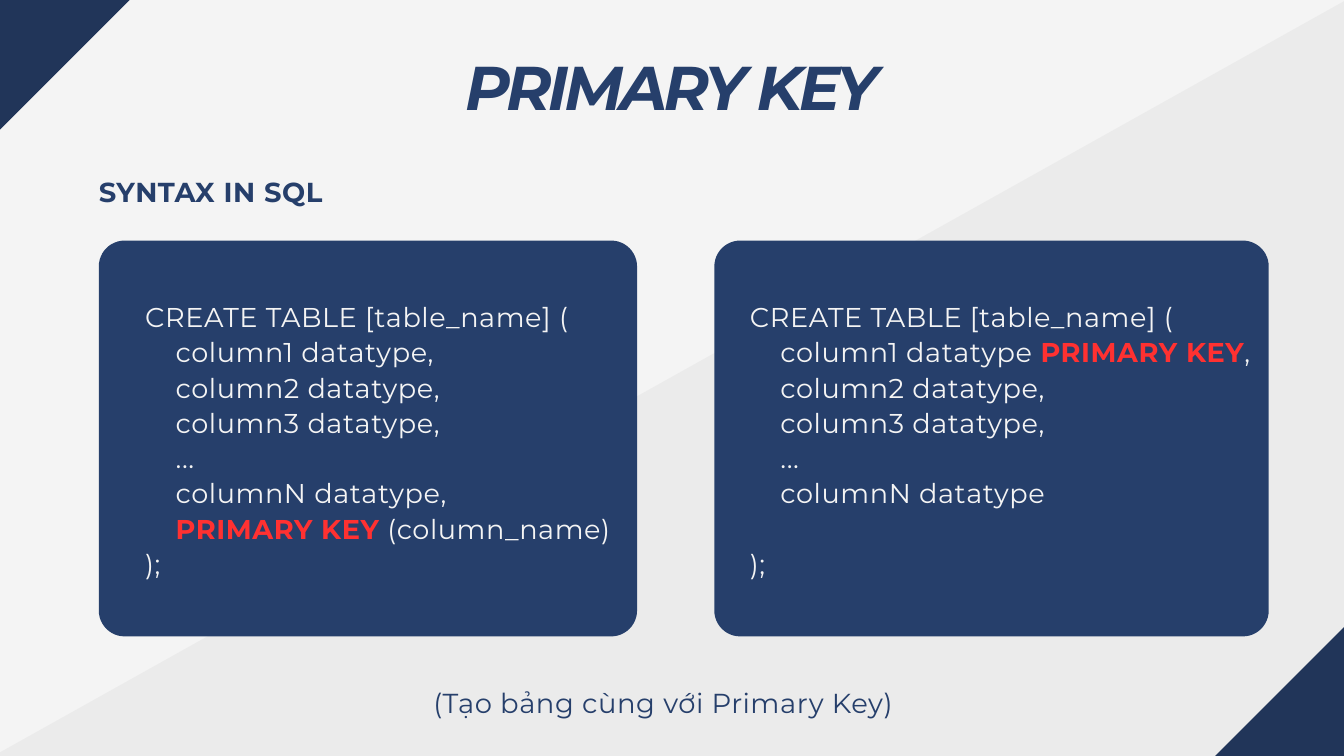
import pptx
import pptx.dml.color
import pptx.enum.shapes
import pptx.enum.text
import pptx.oxml.ns
import pptx.util
from lxml import etree

Inches = pptx.util.Inches
Pt = pptx.util.Pt
RGBColor = pptx.dml.color.RGBColor
MSO_SHAPE = pptx.enum.shapes.MSO_SHAPE
PP_ALIGN = pptx.enum.text.PP_ALIGN

PAPER = RGBColor(0xF4, 0xF4, 0xF4)
SHADE = RGBColor(0x54, 0x54, 0x54)
CORNER = RGBColor(0x21, 0x35, 0x59)
NAVY = RGBColor(0x26, 0x3F, 0x6B)
RED = RGBColor(0xFF, 0x31, 0x31)

FONT = "Montserrat"
KEYWORD = "PRIMARY KEY"
TITLE = "PRIMARY KEY"
HEADING = "SYNTAX IN SQL"
CAPTION = "(Tạo bảng cùng với Primary Key)"
OPENING = "CREATE TABLE [table_name] ("
CLOSING = ");"

PANELS = [
    {"left": 1.47, "width": 8.01, "code_left": 2.16, "gap": 0,
     "columns": ["column1 datatype,", "column2 datatype,", "column3 datatype,",
                 "...", "columnN datatype,", "PRIMARY KEY (column_name)"]},
    {"left": 10.63, "width": 8.25, "code_left": 11.16, "gap": 1,
     "columns": ["column1 datatype PRIMARY KEY,", "column2 datatype,",
                 "column3 datatype,", "...", "columnN datatype"]},
]
PANEL_TOP, PANEL_HEIGHT, CORNER_RADIUS = 3.58, 5.89, 0.385
CODE_TOP, CODE_WIDTH, CODE_HEIGHT = 4.43, 7.47, 4.15
CODE_INDENT, CODE_LEADING = 0.455, 37.8


def add_block(slide, kind, box, color, rotation=0):
    block = slide.shapes.add_shape(kind, *map(Inches, box))
    block.shadow.inherit = False
    block.fill.solid()
    block.fill.fore_color.rgb = color
    block.line.fill.background()
    block.rotation = rotation
    return block


def add_text(slide, lines, box, *, size, leading, color=NAVY, bold=False,
             italic=False, spacing=0.6, align=PP_ALIGN.LEFT, keyword=None,
             indent=0, last_gap=0):
    frame = slide.shapes.add_textbox(*map(Inches, box)).text_frame
    frame.word_wrap = True
    frame.margin_left = frame.margin_right = 0
    frame.margin_top = frame.margin_bottom = 0
    for index, line in enumerate(lines):
        paragraph = frame.paragraphs[0] if index == 0 else frame.add_paragraph()
        paragraph.alignment = align
        paragraph.line_spacing = Pt(leading)
        if 0 < index < len(lines) - 1:
            paragraph._p.get_or_add_pPr().set("marL", str(Inches(indent)))
        elif index and last_gap:
            paragraph.space_before = Pt(last_gap)
        before, found, after = line.partition(keyword) if keyword else (line, "", "")
        for part, marked in ((before, False), (found, True), (after, False)):
            if part:
                run = paragraph.add_run()
                run.text = part
                run.font.name = FONT
                run.font.size = Pt(size)
                run.font.bold = bold or marked
                run.font.italic = italic
                run.font.color.rgb = RED if marked else color
                run._r.get_or_add_rPr().set("spc", str(round(spacing * 100)))


def main():
    deck = pptx.Presentation()
    deck.slide_width, deck.slide_height = Inches(20), Inches(11.25)
    slide = deck.slides.add_slide(deck.slide_layouts[6])
    slide.background.fill.solid()
    slide.background.fill.fore_color.rgb = PAPER

    shade = add_block(slide, MSO_SHAPE.RECTANGLE, (-1.22, 4.76, 28.2, 10.48), SHADE, 330.8)
    shade_color = shade._element.spPr.find(".//" + pptx.oxml.ns.qn("a:srgbClr"))
    etree.SubElement(shade_color, pptx.oxml.ns.qn("a:alpha"), val="5000")

    for left, top in ((-2.89, -1.36), (17.11, 9.89)):
        add_block(slide, MSO_SHAPE.RECTANGLE, (left, top, 5.79, 2.72), CORNER, 315)

    add_text(slide, [TITLE], (4.16, 0.92, 11.67, 0.94), size=66.2, leading=64.9,
             bold=True, italic=True, spacing=-3.9, align=PP_ALIGN.CENTER)
    add_text(slide, [HEADING], (1.47, 2.32, 5.39, 0.69), size=29.4, leading=55.9, bold=True)

    for panel in PANELS:
        card = add_block(slide, MSO_SHAPE.ROUNDED_RECTANGLE,
                         (panel["left"], PANEL_TOP, panel["width"], PANEL_HEIGHT), NAVY)
        card.adjustments[0] = CORNER_RADIUS / PANEL_HEIGHT
        add_text(slide, [OPENING, *panel["columns"], CLOSING],
                 (panel["code_left"], CODE_TOP, CODE_WIDTH, CODE_HEIGHT),
                 size=29.1, leading=CODE_LEADING, color=PAPER, keyword=KEYWORD,
                 indent=CODE_INDENT, last_gap=panel["gap"] * CODE_LEADING)

    add_text(slide, [CAPTION], (6.45, 9.92, 7.1, 0.69), size=29.4, leading=55.9)
    deck.save("out.pptx")


if __name__ == "__main__":
    main()
